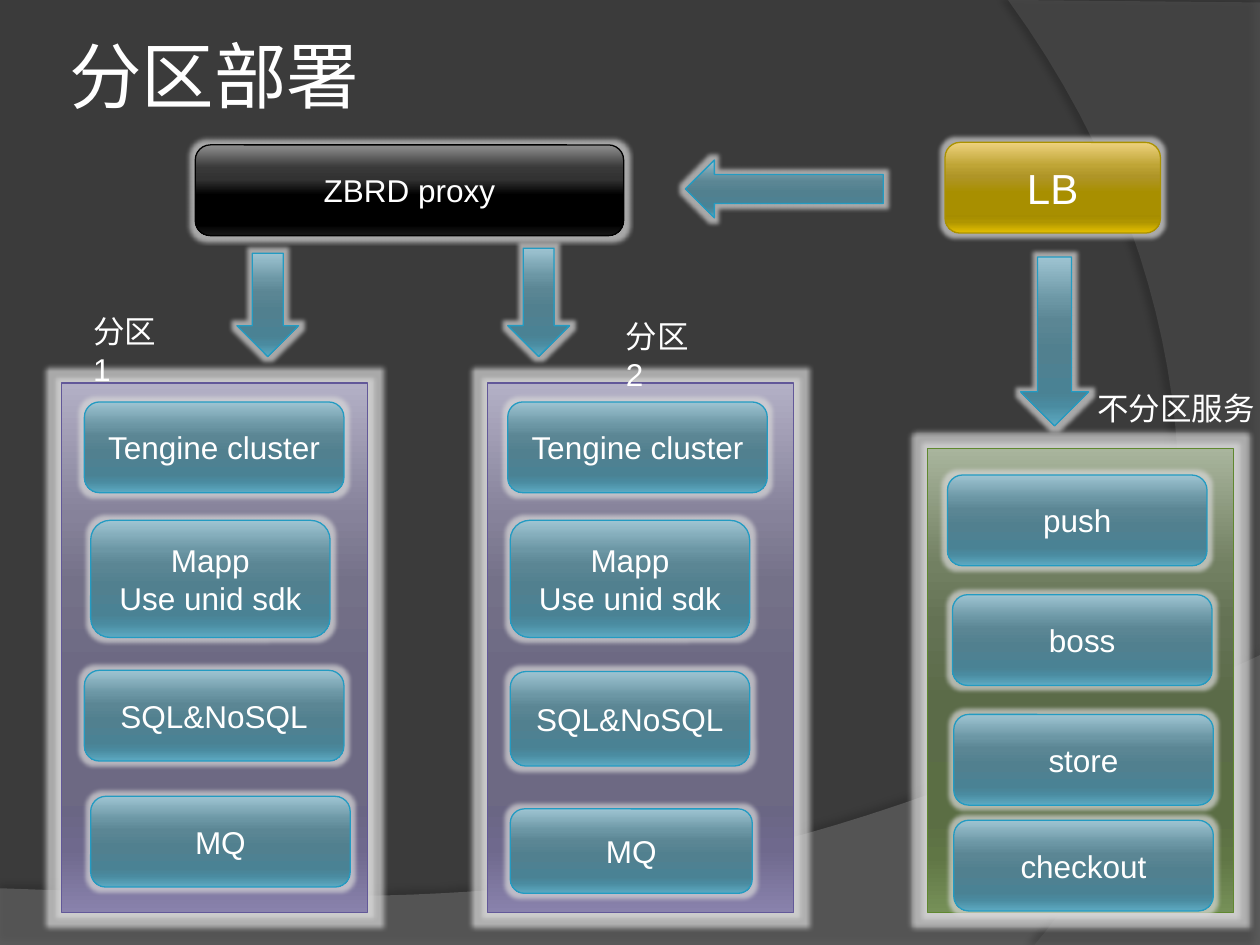
"""Build the partitioned deployment diagram slide."""
from pptx import Presentation
from pptx.dml.color import RGBColor
from pptx.enum.shapes import MSO_SHAPE
from pptx.enum.text import MSO_ANCHOR, PP_ALIGN
from pptx.oxml import parse_xml
from pptx.oxml.ns import nsdecls, qn
from pptx.util import Inches, Pt

THEME = {
    "bg": "3B3B3B", "text": "FFFFFF", "glow": "D9D9D9",
    "font": "Arial", "title_font": "Karla",
    "title": 41.4, "large": 24, "body": 18,
    "stops": [0, 25, 38, 55, 80, 88, 100],
    "teal": ("239BC2", "9EC4D2 6C97A5 5B8694 51808F 4A8294 4A8BA0 5DAAC2"),
    "gold": ("AB9200", "EED27E BFA536 AF9527 A88F00 A68D00 AF9500 E6C100"),
    "black": ("000000", "909090 393939 323232 000000 000000 000000 181818"),
    "purple": ("625899", "B3B0C6 86829A 747188 6D6983 6A6684 6F698D 8982AC"),
    "green": ("5F882F", "A9B59D 728062 647254 5B6B48 5B6E44 607645 769058"),
    "floor": ("7F7F7F", 45), "side": ("5E5E5E", 40),
}

prs = Presentation()
prs.slide_width, prs.slide_height = Inches(10), Inches(7.5)
CELL = prs.slide_width / 100
s = prs.slides.add_slide(prs.slide_layouts[6])
s.background.fill.solid()
s.background.fill.fore_color.rgb = RGBColor.from_string(THEME["bg"])


def write(sp, text, size, font=THEME["font"], align=PP_ALIGN.LEFT):
    tf = sp.text_frame
    tf.text = text
    for p in tf.paragraphs:
        p.alignment = align
        for r in p.runs:
            r.font.size, r.font.name = Pt(size), font
            r.font.color.rgb = RGBColor.from_string(THEME["text"])
    return tf


def block(kind, box, color, text="", size=THEME["body"], glow=0.07):
    sp = s.shapes.add_shape(kind, *(int(v * CELL) for v in box))
    line, shades = THEME[color]
    sp.fill.gradient()
    sp.fill.gradient_angle = 270
    stops = sp._element.spPr.find(qn("a:gradFill")).find(qn("a:gsLst"))
    stops.clear()
    for pos, shade in zip(THEME["stops"], shades.split()):
        stops.append(parse_xml(
            f'<a:gs {nsdecls("a")} pos="{pos * 1000}"><a:srgbClr val="{shade}"/></a:gs>'))
    sp.line.color.rgb = RGBColor.from_string(line)
    sp.line.width = Pt(0.75)
    sp.shadow.inherit = False
    sp._element.spPr.find(qn("a:effectLst")).append(parse_xml(
        f'<a:glow {nsdecls("a")} rad="{Inches(glow)}"><a:srgbClr val="{THEME["glow"]}">'
        '<a:alpha val="70000"/></a:srgbClr></a:glow>'))
    if text:
        tf = write(sp, text, size, align=PP_ALIGN.CENTER)
        tf.word_wrap, tf.vertical_anchor = True, MSO_ANCHOR.MIDDLE


waves = [
    ([(0, 75), (100, 75)], [(100, 52), (55.9, 72.9), (39.1, 71.9), (0, 70.5)],
     "floor", (35, 3.5, 270)),
    ([(100, 0.2), (100, 75)], [(82.1, 75), (93.5, 61.9), (101.8, 30), (80, 0)],
     "side", (45, 4, 180)),
]
for corners, bezier, color, (dark, dist, angle) in waves:
    points = list(corners)
    for t in (i / 40 for i in range(41)):
        weights = ((1 - t) ** 3, 3 * t * (1 - t) ** 2, 3 * t * t * (1 - t), t ** 3)
        points.append(tuple(sum(w * v for w, v in zip(weights, axis))
                            for axis in zip(*bezier)))
    points = [(x * CELL, y * CELL) for x, y in points]
    outline = s.shapes.build_freeform(*points[0])
    outline.add_line_segments(points[1:], close=True)
    sp = outline.convert_to_shape()
    shade, alpha = THEME[color]
    sp.fill.solid()
    sp.fill.fore_color.rgb = RGBColor.from_string(shade)
    sp._element.spPr.find(qn("a:solidFill"))[0].append(
        parse_xml(f'<a:alpha {nsdecls("a")} val="{alpha * 1000}"/>'))
    sp.line.fill.background()
    sp.shadow.inherit = False
    sp._element.spPr.find(qn("a:effectLst")).append(parse_xml(
        f'<a:outerShdw {nsdecls("a")} blurRad="{Pt(4)}" dist="{Pt(dist)}" '
        f'dir="{angle * 60000}"><a:srgbClr val="000000">'
        f'<a:alpha val="{dark * 1000}"/></a:srgbClr></a:outerShdw>'))

sp = s.shapes.add_textbox(*(int(v * CELL) for v in (5, 2.1, 81.7, 7.6)))
tf = write(sp, "分区部署", THEME["title"], THEME["title_font"])
tf.word_wrap, tf.vertical_anchor = True, MSO_ANCHOR.MIDDLE
tf.margin_left = tf.margin_right = Inches(0.05)

ROUND = MSO_SHAPE.ROUNDED_RECTANGLE
block(ROUND, (75, 11.3, 17.1, 7.2), "gold", "LB", THEME["large"])
block(ROUND, (15.5, 11.5, 34, 7.2), "black", "ZBRD proxy")

for left, top, color in ((4.9, 30.4, "purple"), (38.7, 30.4, "purple"), (73.6, 35.6, "green")):
    block(MSO_SHAPE.RECTANGLE, (left, top, 24.3, 72.4 - top), color, glow=0.08)

for text, *box in (
    ("push", 75.2, 37.7, 20.6, 7.2),
    ("boss", 75.6, 47.2, 20.6, 7.2),
    ("store", 75.7, 56.7, 20.6, 7.2),
    ("checkout", 75.7, 65.1, 20.6, 7.2),
    ("Tengine cluster", 6.7, 31.9, 20.6, 7.2),
    ("Mapp\nUse unid sdk", 7.2, 41.3, 19, 9.3),
    ("SQL&NoSQL", 6.7, 53.2, 20.6, 7.2),
    ("MQ", 7.2, 63.2, 20.6, 7.2),
    ("Tengine cluster", 40.3, 31.9, 20.6, 7.2),
    ("Mapp\nUse unid sdk", 40.5, 41.3, 19, 9.3),
    ("SQL&NoSQL", 40.5, 53.3, 19, 7.5),
    ("MQ", 40.5, 64.2, 19.2, 6.7),
):
    block(ROUND, box, "teal", text)

for kind, *box in (
    (MSO_SHAPE.LEFT_ARROW, 54.4, 12.7, 15.7, 4.6),
    (MSO_SHAPE.DOWN_ARROW, 18.8, 20.1, 4.9, 8.2),
    (MSO_SHAPE.DOWN_ARROW, 40.3, 19.7, 4.9, 8.6),
    (MSO_SHAPE.DOWN_ARROW, 81, 20.4, 5.4, 13.4),
):
    block(kind, box, "teal")

for text, left, top, width, wrap in (
    ("分区1", 6.4, 24.3, 8, True),
    ("分区2", 48.7, 24.7, 8, True),
    ("不分区服务", 86.1, 30.4, 14.6, False),
):
    sp = s.shapes.add_textbox(*(int(v * CELL) for v in (left, top, width, 4)))
    write(sp, text, THEME["body"]).word_wrap = wrap

prs.save("out.pptx")
